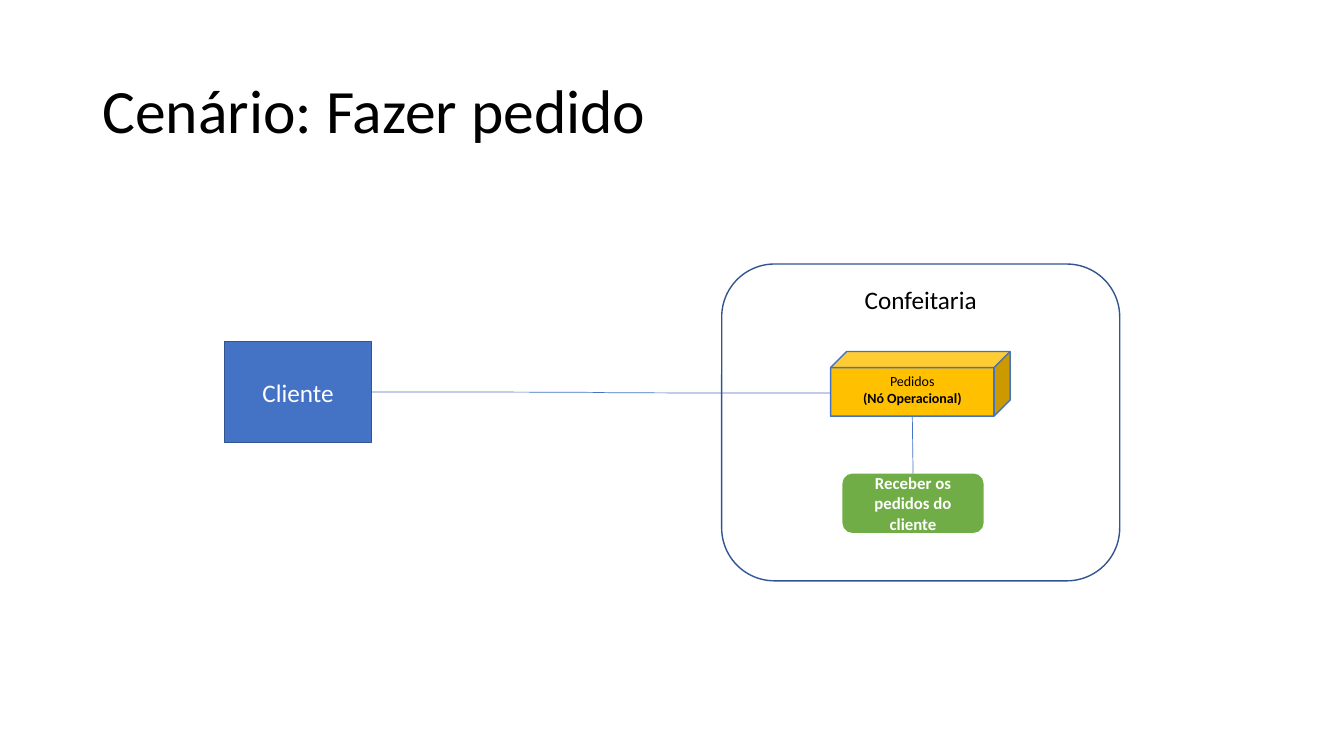
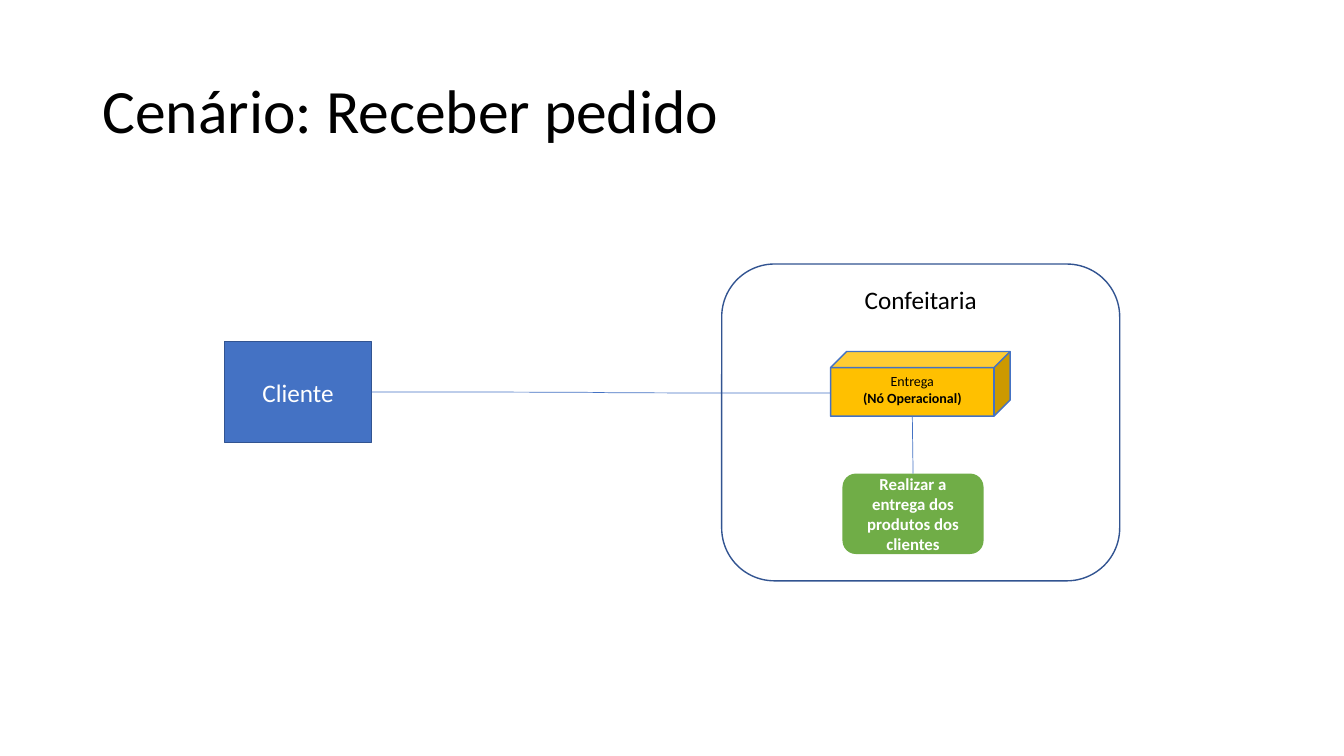
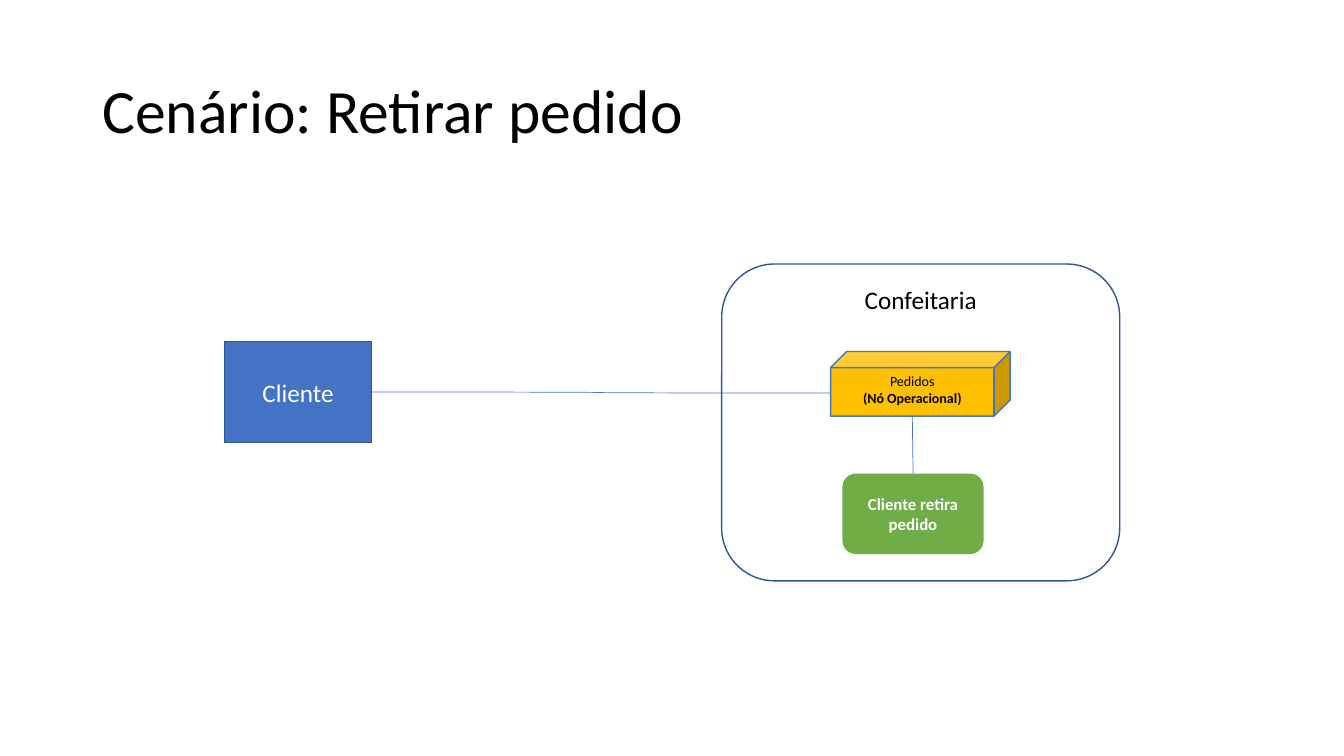
from dataclasses import dataclass

from lxml import etree
from pptx import Presentation
from pptx.dml.color import RGBColor
from pptx.enum.shapes import MSO_CONNECTOR, MSO_SHAPE
from pptx.enum.text import MSO_ANCHOR, PP_ALIGN
from pptx.oxml.ns import qn
from pptx.shapes.autoshape import Shape
from pptx.shapes.connector import Connector
from pptx.slide import Slide
from pptx.text.text import TextFrame
from pptx.util import Pt

RECT, ROUND, CUBE = MSO_SHAPE.RECTANGLE, MSO_SHAPE.ROUNDED_RECTANGLE, MSO_SHAPE.CUBE
STRAIGHT, CURVE = MSO_CONNECTOR.STRAIGHT, MSO_CONNECTOR.CURVE
TOP, MIDDLE = MSO_ANCHOR.TOP, MSO_ANCHOR.MIDDLE
LEFT, CENTER = PP_ALIGN.LEFT, PP_ALIGN.CENTER
TITLE_ONLY = 5
TOP_SIDE, RIGHT_SIDE = 0, 3


@dataclass(frozen=True)
class Theme:
    font: str = "Calibri"
    black: str = "000000"
    white: str = "FFFFFF"
    blue: str = "4472C4"
    navy: str = "325491"
    gold: str = "FFC000"
    green: str = "70AD47"
    title: float = 44
    label: float = 18
    task: float = 12
    node: float = 10
    edge: float = 1
    link: float = 0.5


@dataclass(frozen=True)
class Box:
    x: float
    y: float
    w: float
    h: float


@dataclass(frozen=True)
class Style:
    kind: MSO_SHAPE
    size: float
    color: str
    fill: str | None = None
    line: str | None = None
    anchor: MSO_ANCHOR = MIDDLE
    bold: bool = False


@dataclass(frozen=True)
class Scene:
    title: str
    node: str
    task: str
    height: float


THEME = Theme()
NODE = Style(CUBE, THEME.node, THEME.black, THEME.gold, THEME.blue, TOP)
TASK = Style(ROUND, THEME.task, THEME.white, THEME.green, bold=True)
CLIENT = Style(RECT, THEME.label, THEME.white, THEME.blue, THEME.navy)
SHOP = Style(ROUND, THEME.label, THEME.black, line=THEME.navy, anchor=TOP)

TITLE_BOX = Box(66, 28.8, 828, 104.4)
NODE_BOX = Box(593.3, 251.1, 128.3, 46.2)
CLIENT_BOX = Box(160.3, 244, 105.2, 72)
SHOP_BOX = Box(515.5, 188.6, 284.3, 226.3)
TASK_X, TASK_Y, TASK_W = 601.8, 338.3, 100.8
DEPTH = NODE_BOX.h / 4
LINK_Y = 280.8

SCENES = (
    Scene("Cenário: Fazer pedido", "Pedidos", "Receber os pedidos do cliente", 42.4),
    Scene("Cenário: Receber pedido", "Entrega",
          "Realizar a entrega dos produtos dos clientes", 57.5),
    Scene("Cenário: Retirar pedido", "Pedidos", "Cliente retira pedido", 57.5),
)


def place(shape: Shape, box: Box) -> None:
    shape.left, shape.top = Pt(box.x), Pt(box.y)
    shape.width, shape.height = Pt(box.w), Pt(box.h)


def write(frame: TextFrame, text: str, size: float, color: str,
          align: PP_ALIGN = CENTER, bold: bool = False) -> None:
    frame.text = text
    frame.word_wrap = True
    for para in frame.paragraphs:
        para.alignment = align
        for run in para.runs:
            font = run.font
            font.name, font.size, font.bold = THEME.font, Pt(size), bold
            font.color.rgb = RGBColor.from_string(color)


def add_title(slide: Slide, text: str) -> None:
    title = slide.shapes.title
    place(title, TITLE_BOX)
    frame = title.text_frame
    write(frame, text, THEME.title, THEME.black, LEFT)
    frame.vertical_anchor = MIDDLE
    frame.paragraphs[0].line_spacing = 0.9


def add_box(slide: Slide, box: Box, style: Style, text: str) -> Shape:
    shape = slide.shapes.add_shape(style.kind, Pt(box.x), Pt(box.y), Pt(box.w), Pt(box.h))
    shape.shadow.inherit = False
    if style.fill:
        shape.fill.solid()
        shape.fill.fore_color.rgb = RGBColor.from_string(style.fill)
    else:
        shape.fill.background()
    if style.line:
        shape.line.color.rgb = RGBColor.from_string(style.line)
        shape.line.width = Pt(THEME.edge)
    else:
        shape.line.fill.background()
    write(shape.text_frame, text, style.size, style.color, bold=style.bold)
    shape.text_frame.vertical_anchor = style.anchor
    return shape


def add_link(slide: Slide, kind: MSO_CONNECTOR, x1: float, y1: float,
             x2: float, y2: float) -> Connector:
    link = slide.shapes.add_connector(kind, Pt(x1), Pt(y1), Pt(x2), Pt(y2))
    link.line.color.rgb = RGBColor.from_string(THEME.blue)
    link.line.width = Pt(THEME.link)
    etree.SubElement(link._element.spPr, qn("a:effectLst"))
    return link


def draw(slide: Slide, scene: Scene) -> None:
    add_title(slide, scene.title)
    node = add_box(slide, NODE_BOX, NODE, f"{scene.node}\n(Nó Operacional)")
    node.text_frame.paragraphs[1].runs[0].font.bold = True
    task = add_box(slide, Box(TASK_X, TASK_Y, TASK_W, scene.height), TASK, scene.task)
    client = add_box(slide, CLIENT_BOX, CLIENT, "Cliente")

    order = add_link(slide, CURVE, CLIENT_BOX.x + CLIENT_BOX.w,
                     CLIENT_BOX.y + CLIENT_BOX.h / 2, NODE_BOX.x, LINK_Y)
    order.begin_connect(client, RIGHT_SIDE)
    add_box(slide, SHOP_BOX, SHOP, "Confeitaria")
    step = add_link(slide, STRAIGHT, NODE_BOX.x + (NODE_BOX.w - DEPTH) / 2,
                    NODE_BOX.y + NODE_BOX.h, TASK_X + TASK_W / 2, TASK_Y)
    step.end_connect(task, TOP_SIDE)


def main() -> None:
    deck = Presentation()
    deck.slide_width, deck.slide_height = Pt(960), Pt(540)
    for scene in SCENES:
        draw(deck.slides.add_slide(deck.slide_layouts[TITLE_ONLY]), scene)
    deck.save("out.pptx")


if __name__ == "__main__":
    main()
